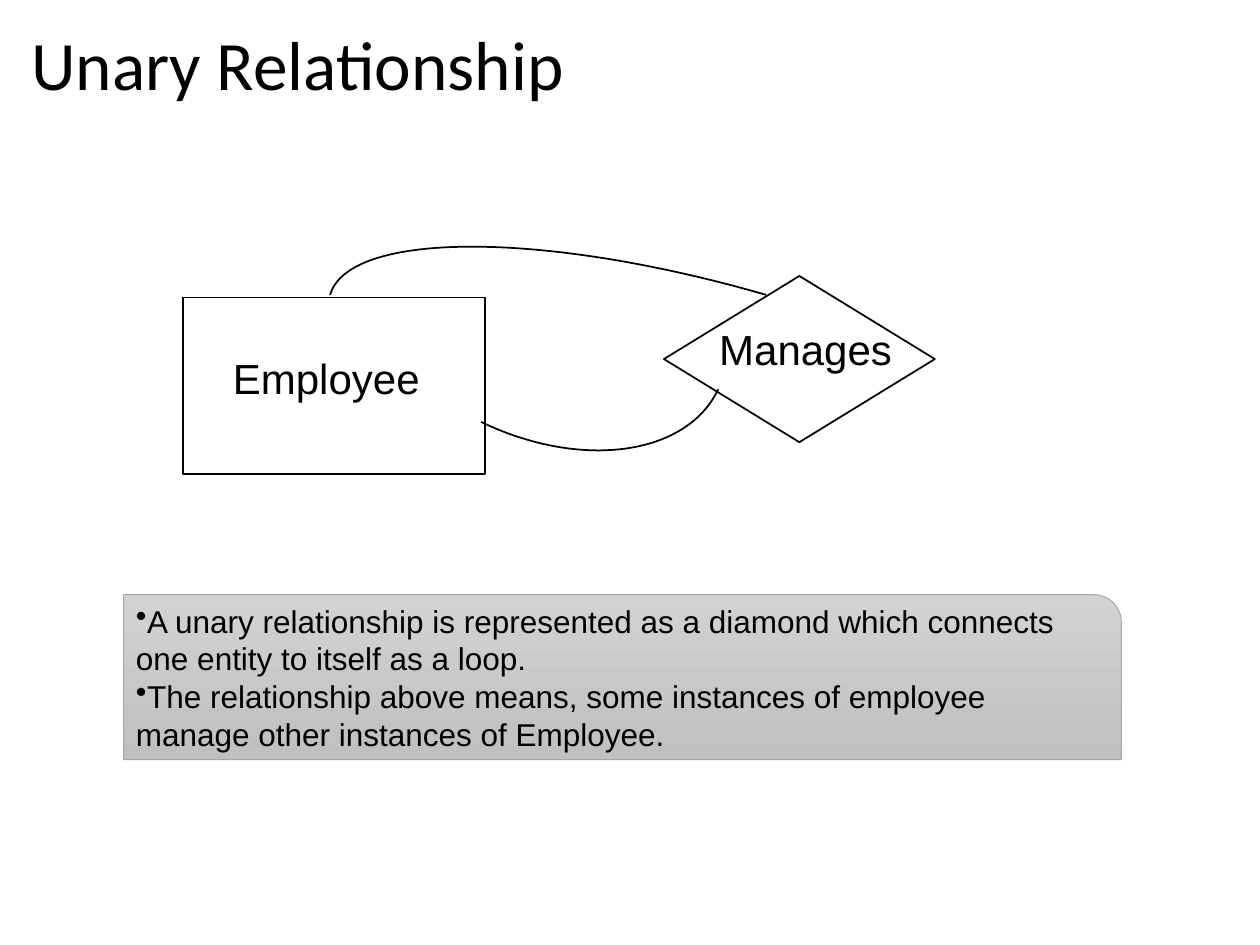
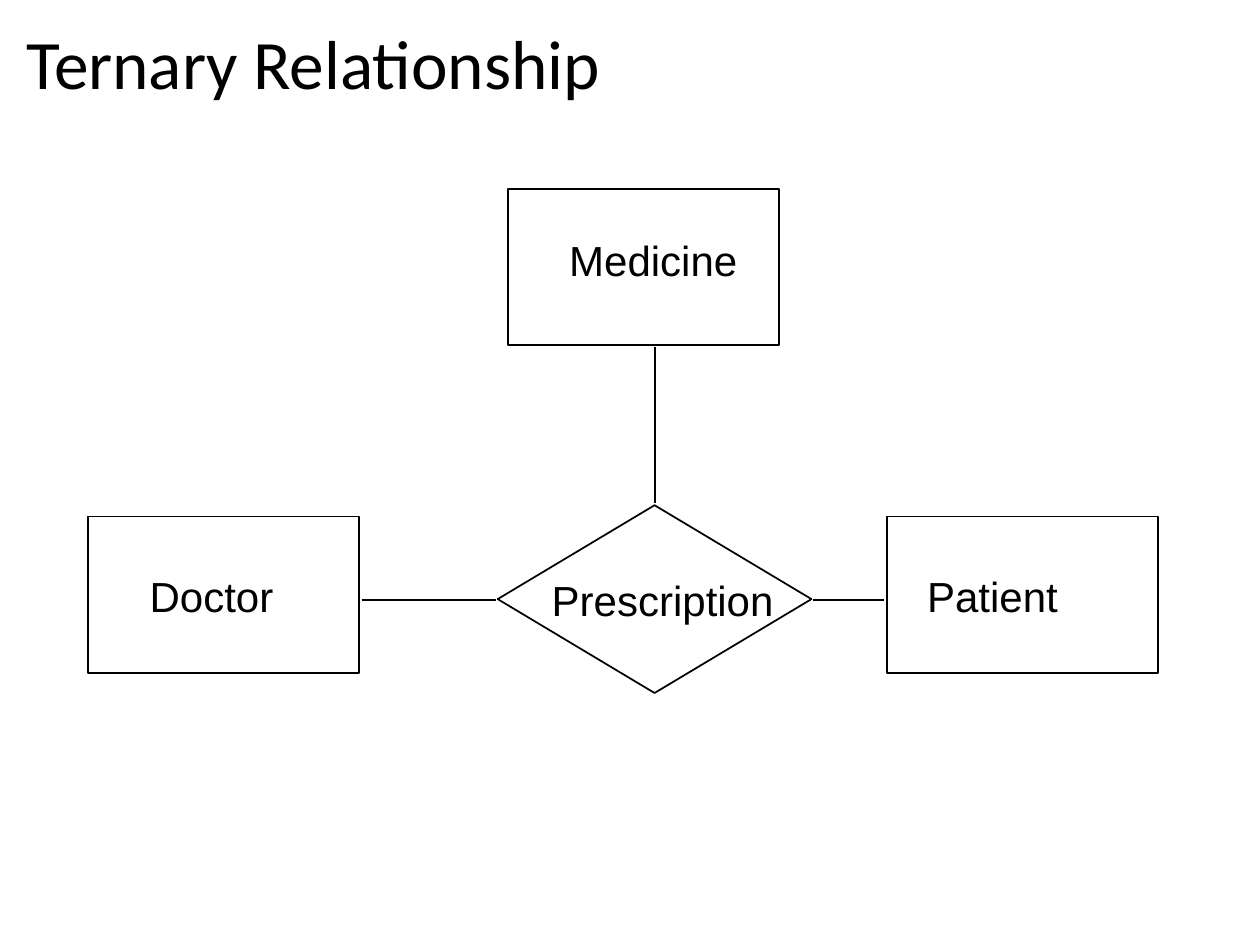
from lxml.etree import SubElement
from pptx import Presentation
from pptx.dml.color import RGBColor
from pptx.enum.shapes import MSO_CONNECTOR as Connector, MSO_SHAPE as Shape
from pptx.enum.text import MSO_ANCHOR as Anchor, MSO_AUTO_SIZE as AutoSize, PP_ALIGN as Align
from pptx.oxml.ns import qn
from pptx.util import Pt

BLACK, GREY = "000000", "A5A5A5"
NOTE_TOP, NOTE_BOTTOM = "D2D2D2", "C0C0C0"
TITLE_FONT, BODY_FONT = "Calibri", "Arial"
CURVE_STEPS = 40


def color(value):
    return RGBColor.from_string(value)


def set_line(shape, value=BLACK, width=1):
    shape.line.color.rgb = color(value)
    shape.line.width = Pt(width)


def write_text(shape, *texts, size=24, font=BODY_FONT, anchor=Anchor.TOP, wrap=True,
               auto_size=AutoSize.NONE, left_inset=7.2, spacing=None, bullet=None):
    frame = shape.text_frame
    frame.word_wrap = wrap
    frame.auto_size = auto_size
    frame.vertical_anchor = anchor
    frame.margin_left, frame.margin_right = Pt(left_inset), Pt(7.2)
    frame.margin_top = frame.margin_bottom = Pt(3.6)
    for index, text in enumerate(texts):
        paragraph = frame.paragraphs[0] if index == 0 else frame.add_paragraph()
        paragraph.alignment = Align.LEFT
        if spacing:
            paragraph.line_spacing = spacing
        if bullet:
            SubElement(paragraph._p.get_or_add_pPr(), qn("a:buChar"), char=bullet)
        run = paragraph.add_run()
        run.text = text
        run.font.size = Pt(size)
        run.font.name = font
        run.font.color.rgb = color(BLACK)


def add_titled_slide(presentation, text, left, top):
    slide = presentation.slides.add_slide(presentation.slide_layouts[5])
    title = slide.shapes.title
    title.left, title.top, title.width, title.height = map(Pt, (left, top, 675.4, 40.3))
    write_text(title, text, size=39.6, font=TITLE_FONT, anchor=Anchor.MIDDLE,
               left_inset=0, spacing=0.9)
    return slide


def add_shape(slide, kind, left, top, width, height):
    shape = slide.shapes.add_shape(kind, *map(Pt, (left, top, width, height)))
    shape.shadow.inherit = False
    return shape


def add_node(slide, kind, box, text, label_offset, label_width):
    shape = add_shape(slide, kind, *box)
    shape.fill.background()
    set_line(shape)
    left, top = box[0] + label_offset[0], box[1] + label_offset[1]
    label = slide.shapes.add_textbox(*map(Pt, (left, top, label_width, 36.3)))
    write_text(label, text, wrap=False, auto_size=AutoSize.SHAPE_TO_FIT_TEXT)


def add_link(slide, *ends):
    link = slide.shapes.add_connector(Connector.STRAIGHT, *map(Pt, ends))
    set_line(link)
    SubElement(link._element.spPr, qn("a:effectLst"))


def curve_point(controls, t):
    weights = ((1 - t) ** 3, 3 * t * (1 - t) ** 2, 3 * t ** 2 * (1 - t), t ** 3)
    return tuple(Pt(sum(w * c for w, c in zip(weights, axis))) for axis in zip(*controls))


def add_curve(slide, controls):
    start, *points = [curve_point(controls, step / CURVE_STEPS)
                      for step in range(CURVE_STEPS + 1)]
    builder = slide.shapes.build_freeform(*start)
    builder.add_line_segments(points, close=False)
    curve = builder.convert_to_shape()
    curve.shadow.inherit = False
    curve.fill.background()
    set_line(curve)


def add_unary_diagram(slide, left, top):
    add_node(slide, Shape.RECTANGLE, (left, top + 36, 172.8, 100.8),
             "Employee", (21.6, 28), 121)
    add_node(slide, Shape.DIAMOND, (left + 275, top + 23.7, 154.8, 95),
             "Manages", (24.5, 23.8), 113)
    upper_loop = (84.2, 34.5), (95, -2.2), (206.6, -2.2), (333.4, 34.5)
    lower_loop = (306, 88.5), (288, 126.6), (227.5, 134.6), (170.6, 107.2)
    for loop in (upper_loop, lower_loop):
        add_curve(slide, [(left + x, top + y) for x, y in loop])


def add_note(slide, left, top, width, height):
    note = add_shape(slide, Shape.ROUND_1_RECTANGLE, left, top, width, height)
    note.fill.gradient()
    note.fill.gradient_angle = 270
    for stop, value in zip(note.fill.gradient_stops, (NOTE_TOP, NOTE_BOTTOM)):
        stop.color.rgb = color(value)
    set_line(note, GREY, 0.5)
    write_text(
        note,
        "A unary relationship is represented as a diamond which connects one entity "
        "to itself as a loop.",
        "The relationship above means, some instances of employee manage other "
        "instances of Employee.",
        size=18, anchor=Anchor.MIDDLE, bullet="•")


def add_ternary_diagram(slide, left, top):
    entities = (
        ("Doctor", 0, 187.2, (28, 27.4), 85),
        ("Patient", 456.5, 187.2, (15.8, 27.4), 89.3),
        ("Medicine", 239.8, 0, (28, 22.3), 110.2),
    )
    for text, x, y, label_offset, label_width in entities:
        add_node(slide, Shape.RECTANGLE, (left + x, top + y, 154.8, 89.3),
                 text, label_offset, label_width)
    add_node(slide, Shape.DIAMOND, (left + 234, top + 180.7, 179.3, 107.3),
             "Prescription", (23.8, 36), 141)
    axis, level = left + 324, top + 234.7
    add_link(slide, axis, top + 90, axis, top + 179.3)
    for start, end in ((156.2, 233.3), (414, 455)):
        add_link(slide, left + start, level, left + end, level)


def main():
    presentation = Presentation()
    presentation.slide_width, presentation.slide_height = Pt(720), Pt(540)

    unary = add_titled_slide(presentation, "Unary Relationship", 18, 18.7)
    add_unary_diagram(unary, 104.4, 134)
    add_note(unary, 70.6, 339.8, 570.2, 94.3)

    ternary = add_titled_slide(presentation, "Ternary Relationship", 15.1, 18)
    add_ternary_diagram(ternary, 50.4, 108)

    presentation.save("out.pptx")


if __name__ == "__main__":
    main()
